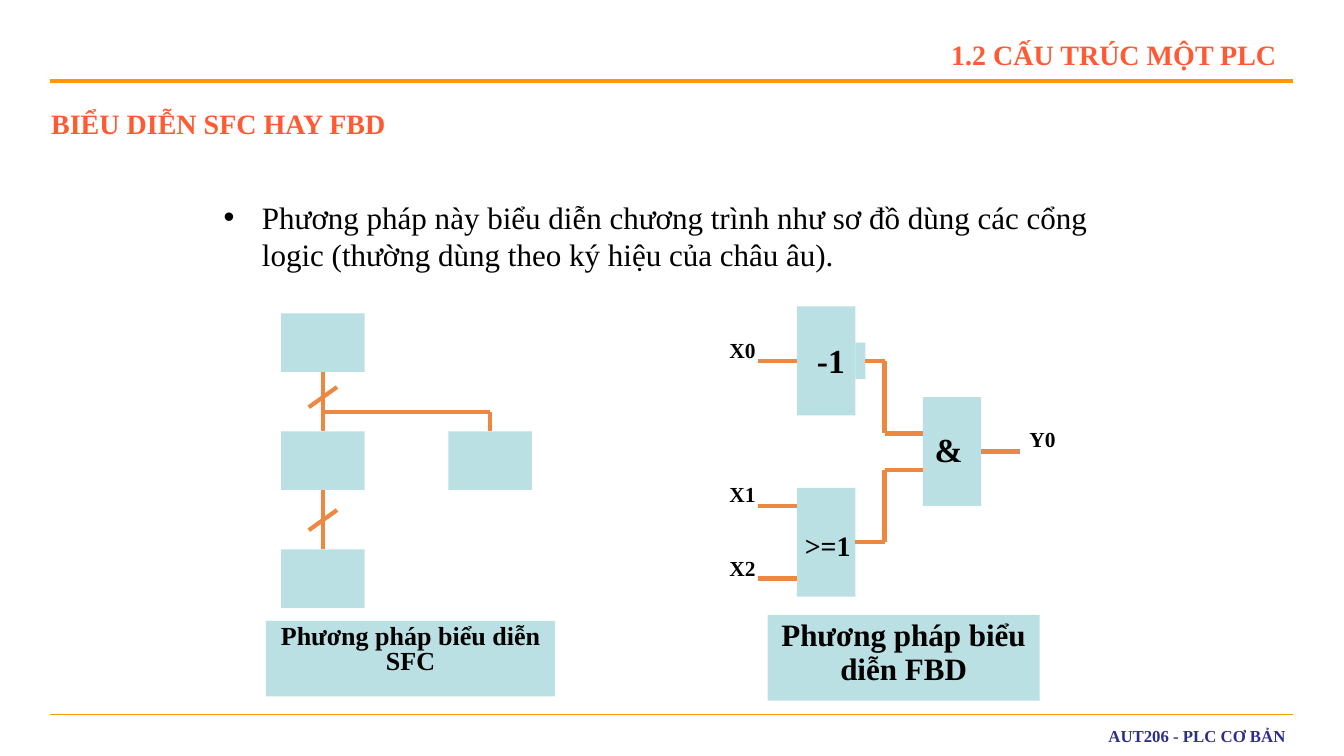
from dataclasses import dataclass

from lxml.etree import SubElement
from pptx import Presentation
from pptx.dml.color import RGBColor
from pptx.enum.shapes import MSO_CONNECTOR, MSO_SHAPE
from pptx.enum.text import MSO_ANCHOR, MSO_AUTO_SIZE, PP_ALIGN
from pptx.oxml.ns import qn
from pptx.util import Inches, Pt

TOP, LEFT, BOTTOM, RIGHT = range(4)


@dataclass(frozen=True)
class Theme:
    font: str = "Times New Roman"
    ink: str = "000000"
    heading: str = "FF5A33"
    footer: str = "2D2D8A"
    rule: str = "FF9900"
    block: str = "BBE0E3"
    wire: str = "ED8843"
    heading_size: float = 20
    body_size: float = 22.2
    sfc_caption_size: float = 18.6
    gate_size: float = 24
    signal_size: float = 15.3
    footer_size: float = 12
    wire_width: float = 3
    thin_width: float = 0.75


class SlideBuilder:
    def __init__(self, slide, theme):
        self.slide = slide
        self.shapes = slide.shapes
        self.theme = theme

    def set_text(self, shape, words, size, color=None, bold=True,
                 align=PP_ALIGN.LEFT, anchor=MSO_ANCHOR.TOP, spacing=1.0):
        frame = shape.text_frame
        frame.word_wrap = True
        frame.auto_size = MSO_AUTO_SIZE.NONE
        frame.vertical_anchor = anchor
        paragraph = frame.paragraphs[0]
        paragraph.alignment = align
        paragraph.line_spacing = spacing
        paragraph.space_before = Pt(0)
        run = paragraph.add_run()
        run.text = words
        run.font.name = self.theme.font
        run.font.size = Pt(size)
        run.font.bold = bold
        run.font.color.rgb = RGBColor.from_string(color or self.theme.ink)

    def place(self, holder, left, top, width, height):
        holder.left, holder.top = Inches(left), Inches(top)
        holder.width, holder.height = Inches(width), Inches(height)

    def title(self, words, *box):
        heading = self.shapes.title
        self.place(heading, *box)
        self.set_text(heading, words, self.theme.heading_size, self.theme.heading,
                      align=PP_ALIGN.RIGHT, anchor=MSO_ANCHOR.MIDDLE)

    def bullet(self, words, *box):
        body = self.slide.placeholders[1]
        self.place(body, *box)
        props = body.text_frame.paragraphs[0]._p.get_or_add_pPr()
        props.set("marL", str(Inches(0.38)))
        props.set("indent", str(Inches(-0.38)))
        bullet_color = SubElement(props, qn("a:buClr"))
        SubElement(bullet_color, qn("a:srgbClr"), val=self.theme.ink)
        SubElement(props, qn("a:buFont"), typeface="Arial")
        SubElement(props, qn("a:buChar"), char="•")
        self.set_text(body, words, self.theme.body_size, bold=False)

    def text(self, words, left, top, width, height, size, **style):
        label = self.shapes.add_textbox(
            Inches(left), Inches(top), Inches(width), Inches(height))
        self.set_text(label, words, size, **style)

    def block(self, left, top, width, height):
        block = self.shapes.add_shape(
            MSO_SHAPE.RECTANGLE,
            Inches(left), Inches(top), Inches(width), Inches(height))
        block.shadow.inherit = False
        block.fill.solid()
        block.fill.fore_color.rgb = RGBColor.from_string(self.theme.block)
        block.line.fill.background()
        return block

    def caption(self, words, box, size, spacing):
        self.set_text(self.block(*box), words, size,
                      align=PP_ALIGN.CENTER, spacing=spacing)

    def line(self, begin, end, begin_at=None, end_at=None, color=None, width=None):
        """Draw a line; begin_at and end_at are (block, side) joints."""
        line = self.shapes.add_connector(
            MSO_CONNECTOR.STRAIGHT, *(Inches(v) for v in (*begin, *end)))
        if begin_at:
            line.begin_connect(*begin_at)
        if end_at:
            line.end_connect(*end_at)
        line.line.color.rgb = RGBColor.from_string(color or self.theme.wire)
        line.line.width = Pt(width or self.theme.wire_width)
        SubElement(line._element.spPr, qn("a:effectLst"))


def draw_sfc(page):
    step_w, step_h, pitch = 0.83, 0.58, 1.17
    left, top, branch_left = 2.79, 3.11, 4.45
    axis, branch_axis, branch_y = left + step_w / 2, branch_left + step_w / 2, 4.09
    tops = [top + i * pitch for i in range(3)]
    steps = [page.block(left, y, step_w, step_h) for y in tops]
    branch = page.block(branch_left, tops[1], step_w, step_h)

    for upper, lower, y in zip(steps, steps[1:], tops):
        page.line((axis, y + step_h), (axis, y + pitch),
                  (upper, BOTTOM), (lower, TOP))
    for middle in (3.94, 5.16):
        page.line((axis - 0.14, middle + 0.1), (axis + 0.14, middle - 0.1))
    page.line((axis, branch_y), (branch_axis, branch_y))
    page.line((branch_axis, branch_y), (branch_axis, tops[1]), end_at=(branch, TOP))
    page.caption("Phương pháp biểu diễn SFC", (2.64, 6.16, 2.87, 0.75),
                 page.theme.sfc_caption_size, 0.8)


def draw_fbd(page):
    theme = page.theme
    gate_w, gate_h = 0.58, 1.08
    in_x, gate_x, bend_x, and_x, out_x = 7.52, 7.91, 8.78, 9.16, 10.12
    not_y, and_y, or_y = 3.58, 4.48, 5.38
    not_gate, and_gate, or_gate = (
        page.block(x, y - gate_h / 2, gate_w, gate_h)
        for x, y in ((gate_x, not_y), (and_x, and_y), (gate_x, or_y)))
    gate_right = gate_x + gate_w
    inverter = page.block(gate_right, not_y - 0.18, 0.1, 0.36)

    page.line((in_x, not_y), (gate_x, not_y), end_at=(not_gate, LEFT))
    for y in (or_y - 0.36, or_y + 0.36):
        page.line((in_x, y), (gate_x, y))
    for y, entry_y, source, start_x in (
            (not_y, and_y - 0.18, inverter, gate_right + 0.1),
            (or_y, and_y + 0.18, or_gate, gate_right)):
        page.line((start_x, y), (bend_x, y), begin_at=(source, RIGHT))
        page.line((bend_x, y), (bend_x, entry_y))
        page.line((bend_x, entry_y), (and_x, entry_y))
    page.line((and_x + gate_w, and_y), (out_x, and_y), begin_at=(and_gate, RIGHT))

    for symbol, x, y, size in (("-1", 8.01, 3.32, theme.gate_size),
                               ("&", 9.18, 4.21, theme.gate_size),
                               (">=1", 7.89, 5.19, theme.heading_size)):
        page.text(symbol, x, y, 0.7, 0.54, size)
    for signal, x, y in (("X0", 7.14, 3.32), ("X1", 7.14, 4.75),
                         ("X2", 7.14, 5.49), ("Y0", out_x, 4.21)):
        page.text(signal, x, y, 0.52, 0.54, theme.signal_size, spacing=0.9)
    page.caption("Phương pháp biểu diễn FBD", (7.62, 6.1, 2.7, 0.85),
                 theme.body_size, 0.9)


def main():
    deck = Presentation()
    deck.slide_width, deck.slide_height = Inches(13.34), Inches(7.5)
    theme = Theme()
    page = SlideBuilder(deck.slides.add_slide(deck.slide_layouts[1]), theme)

    page.title("1.2 CẤU TRÚC MỘT PLC", 9.17, 0.27, 3.6, 0.53)
    page.bullet("Phương pháp này biểu diễn chương trình như sơ đồ dùng các cổng "
                "logic (thường dùng theo ký hiệu của châu âu).",
                2.12, 1.92, 9.02, 0.86)
    draw_sfc(page)
    draw_fbd(page)
    page.text("BIỂU DIỄN SFC HAY FBD", 0.41, 0.96, 4.37, 0.53, theme.heading_size,
              color=theme.heading, anchor=MSO_ANCHOR.MIDDLE)
    for y, width in ((0.8, theme.wire_width), (7.09, theme.thin_width)):
        page.line((0.5, y), (12.83, y), color=theme.rule, width=width)
    page.text("AUT206 - PLC CƠ BẢN", 3.84, 7.11, 9.02, 0.38, theme.footer_size,
              color=theme.footer, align=PP_ALIGN.RIGHT, anchor=MSO_ANCHOR.MIDDLE)
    deck.save("out.pptx")


if __name__ == "__main__":
    main()
